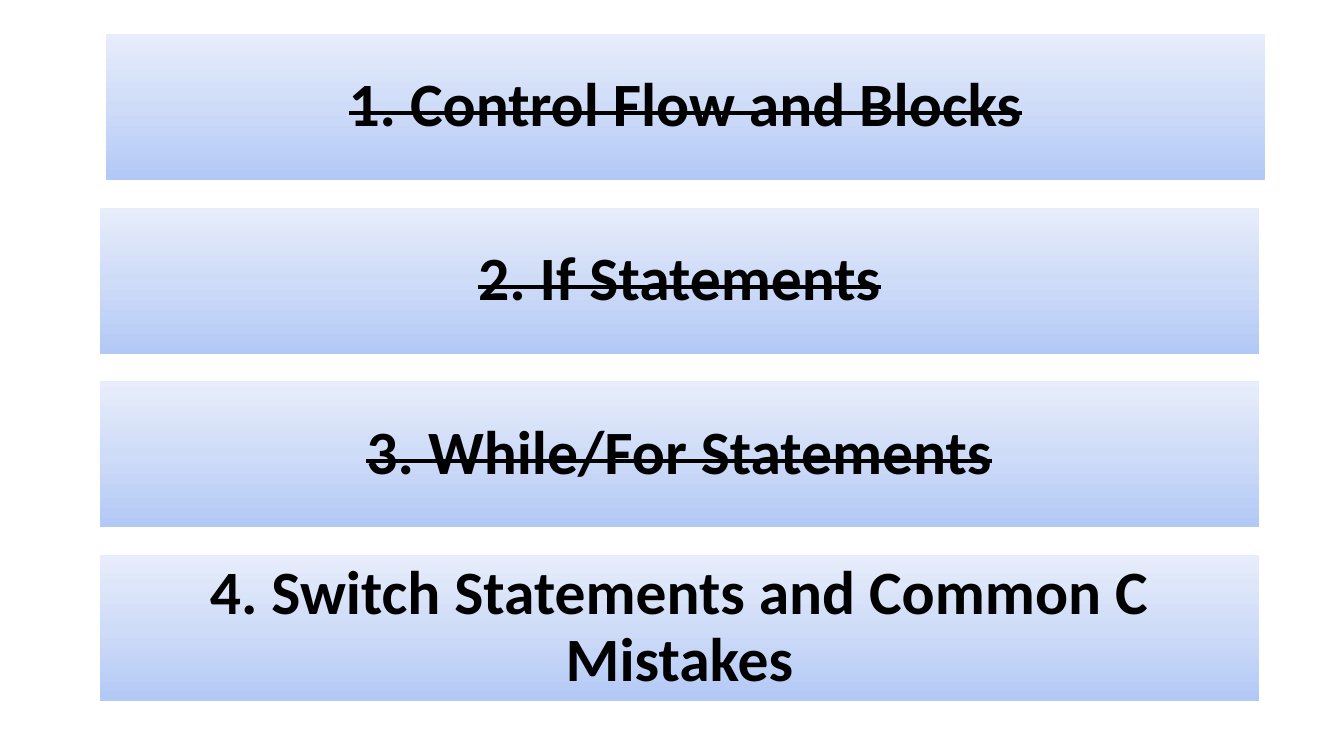
"""Build an agenda slide with four gradient bars, the finished topics struck through."""
import copy

import pptx
import pptx.dml.color
import pptx.enum.shapes
import pptx.enum.text
import pptx.oxml.ns
import pptx.util
from pptx.util import Cm

COLORS = {"bottom": "B2C8F5", "middle": "CFDCF8", "top": "E7EDFB", "text": "000000"}
STOPS = [(0, "bottom"), (0.5, "middle"), (1, "top")]
TOPICS = [
    ("1. Control Flow and Blocks", True),
    ("2. If Statements", True),
    ("3. While/For Statements", True),
    ("4. Switch Statements and Common C Mistakes", False),
]
LEFT, TOP, PITCH = Cm(2.52), Cm(0.85), Cm(4.38)
WIDTH, HEIGHT = Cm(29.21), Cm(3.68)
TITLE_SHIFT = Cm(0.15)

prs = pptx.Presentation()
prs.slide_width, prs.slide_height = Cm(33.87), Cm(19.05)
s = prs.slides.add_slide(prs.slide_layouts[5])

for i, (topic, done) in enumerate(TOPICS):
    top = TOP + i * PITCH
    if i == 0:
        sp = s.shapes.title
        sp.left, sp.top, sp.width, sp.height = LEFT + TITLE_SHIFT, top, WIDTH, HEIGHT
    else:
        sp = s.shapes.add_shape(
            pptx.enum.shapes.MSO_SHAPE.RECTANGLE, LEFT, top, WIDTH, HEIGHT)
    sp.shadow.inherit = False
    sp.line.fill.background()

    sp.fill.gradient()
    sp.fill.gradient_angle = 90
    gs = sp._element.spPr.find(".//" + pptx.oxml.ns.qn("a:gs"))
    gs.addnext(copy.deepcopy(gs))
    for stop, (position, name) in zip(sp.fill.gradient_stops, STOPS):
        stop.position = position
        stop.color.rgb = pptx.dml.color.RGBColor.from_string(COLORS[name])

    tf = sp.text_frame
    tf.text = topic
    tf.word_wrap = True
    tf.auto_size = pptx.enum.text.MSO_AUTO_SIZE.NONE
    tf.vertical_anchor = pptx.enum.text.MSO_ANCHOR.MIDDLE
    p = tf.paragraphs[0]
    p.alignment = pptx.enum.text.PP_ALIGN.CENTER
    p.line_spacing = 0.9
    r = p.runs[0]
    r.font.name = "Calibri"
    r.font.size = pptx.util.Pt(44)
    r.font.bold = True
    r.font.color.rgb = pptx.dml.color.RGBColor.from_string(COLORS["text"])
    if done:
        r.font._element.set("strike", "sngStrike")

prs.save("out.pptx")
